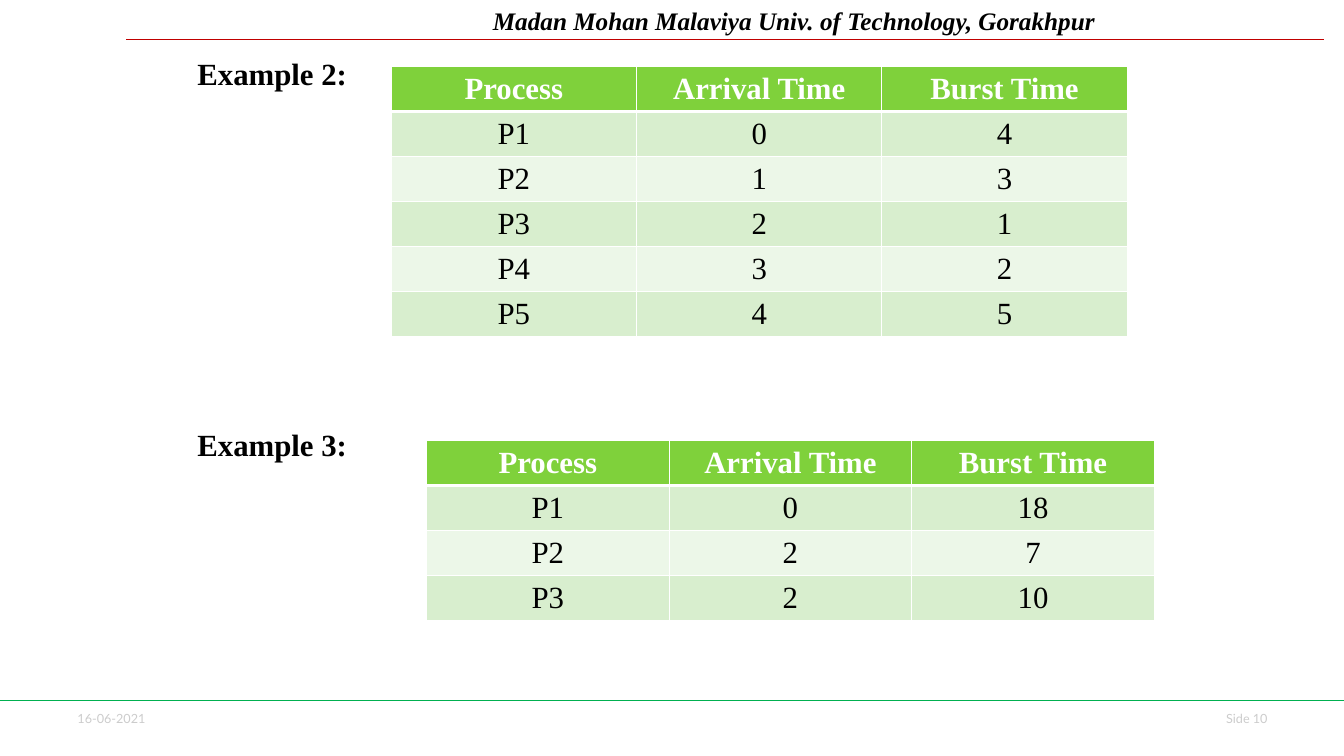
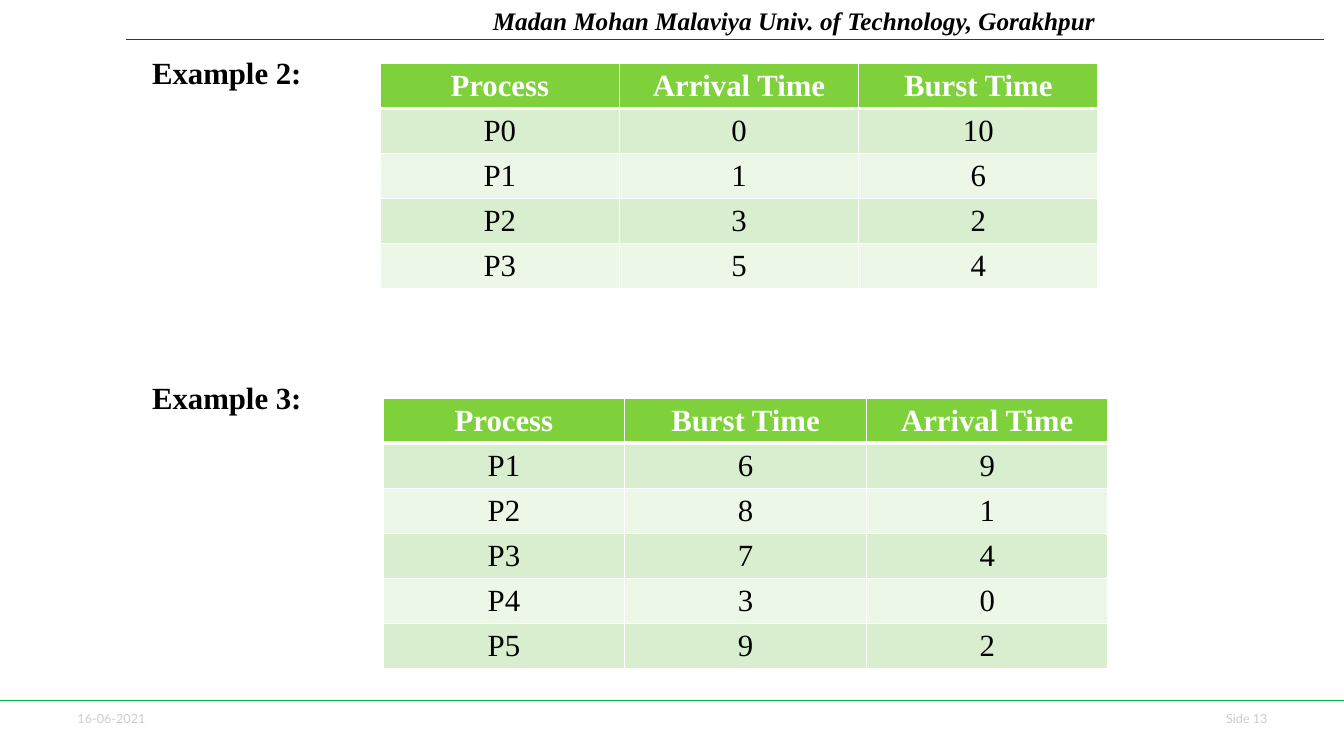
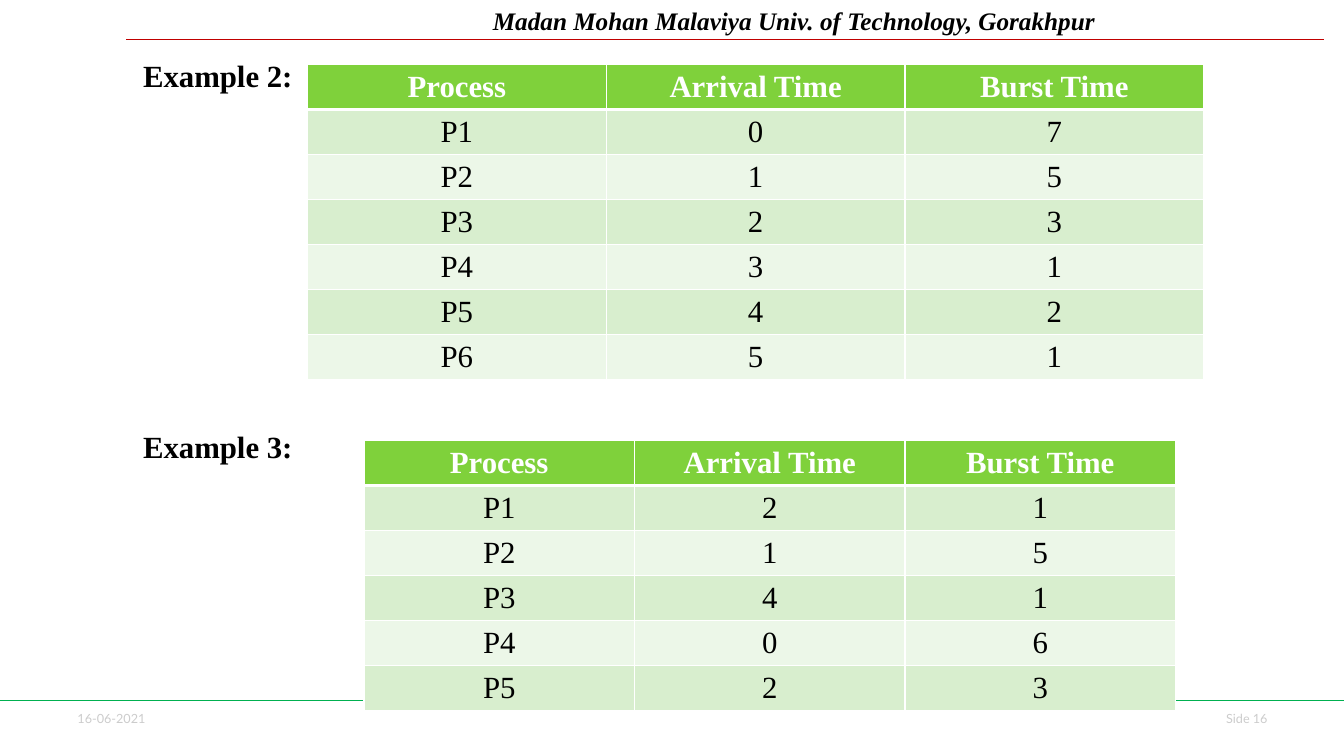
from lxml import etree
from pptx import Presentation
from pptx.dml.color import RGBColor
from pptx.enum.shapes import MSO_CONNECTOR
from pptx.enum.text import MSO_ANCHOR, PP_ALIGN
from pptx.oxml import parse_xml
from pptx.oxml.ns import nsdecls, qn
from pptx.util import Inches, Pt

# Shared style
SERIF, SANS = "Times New Roman", "Lato"
BLACK, WHITE, GREY = "000000", "FFFFFF", "CCCCCC"
RED, GREEN = "C00000", "00B050"
HEADER_FILL, BAND_FILLS = "7FD13B", ("D8EECE", "ECF7E8")
BODY_SIZE = 22
LINE_HEIGHT, LINE_PITCH = 25.3, 33  # points, for body text
ROW_HEIGHT = 0.44

ARRIVAL_FIRST = ("Process", "Arrival Time", "Burst Time")
BURST_FIRST = ("Process", "Burst Time", "Arrival Time")

# Page number, label box (left, top, width, height), body lines between the
# labels, and tables (left, top, width, header, rows)
SLIDES = [
    (10, (1.86, 0.49, 10.25, 6.26), 8, [
        (3.88, 0.66, 7.3, ARRIVAL_FIRST,
         [("P1", 0, 4), ("P2", 1, 3), ("P3", 2, 1), ("P4", 3, 2), ("P5", 4, 5)]),
        (4.23, 4.37, 7.22, ARRIVAL_FIRST,
         [("P1", 0, 18), ("P2", 2, 7), ("P3", 2, 10)]),
    ]),
    (13, (1.41, 0.48, 9.67, 6.39), 7, [
        (3.77, 0.63, 7.12, ARRIVAL_FIRST,
         [("P0", 0, 10), ("P1", 1, 6), ("P2", 3, 2), ("P3", 5, 4)]),
        (3.8, 3.95, 7.19, BURST_FIRST,
         [("P1", 6, 9), ("P2", 8, 1), ("P3", 7, 4), ("P4", 3, 0), ("P5", 9, 2)]),
    ]),
    (16, (1.32, 0.51, 10.59, 6.75), 8, [
        (3.05, 0.64, 8.89, ARRIVAL_FIRST,
         [("P1", 0, 7), ("P2", 1, 5), ("P3", 2, 3), ("P4", 3, 1), ("P5", 4, 2),
          ("P6", 5, 1)]),
        (3.61, 4.37, 8.05, ARRIVAL_FIRST,
         [("P1", 2, 1), ("P2", 1, 5), ("P3", 4, 1), ("P4", 0, 6), ("P5", 2, 3)]),
    ]),
]


def rgb(color):
    return RGBColor.from_string(color)


def style(p, size, color, name=SERIF, bold=False, italic=False, align=PP_ALIGN.LEFT):
    p.alignment = align
    font = p.font
    font.size, font.name, font.bold, font.italic = Pt(size), name, bold, italic
    font.color.rgb = rgb(color)


def add_text(s, box, lines, size, color, gap=0, **options):
    tf = s.shapes.add_textbox(*map(Inches, box)).text_frame
    tf.word_wrap = True
    for i, line in enumerate(lines):
        p = tf.add_paragraph() if i else tf.paragraphs[0]
        p.text = line
        if i:
            p.space_before = Pt(gap)
        style(p, size, color, **options)


def add_rule(s, left, right, y, color):
    sp = s.shapes.add_connector(MSO_CONNECTOR.STRAIGHT, *map(Inches, (left, y, right, y)))
    sp.line.color.rgb = rgb(color)
    sp.line.width = Pt(0.75)
    etree.SubElement(sp._element.spPr, qn("a:effectLst"))


def set_borders(cell, row):
    """White grid, with a heavier rule under the header row."""
    widths = {"L": 1, "R": 1, "T": 3 if row == 1 else 1, "B": 3 if row == 0 else 1}
    tc_pr = cell._tc.get_or_add_tcPr()
    for side, width in widths.items():
        tc_pr.append(parse_xml(
            f'<a:ln{side} {nsdecls("a")} w="{Pt(width)}"><a:solidFill>'
            f'<a:srgbClr val="{WHITE}"/></a:solidFill></a:ln{side}>'))


def add_process_table(s, left, top, width, header, rows):
    data = [header, *rows]
    frame = s.shapes.add_table(len(data), len(header), *map(
        Inches, (left, top, width, ROW_HEIGHT * len(data))))
    table = frame.table
    table.horz_banding = False
    for column in table.columns:
        column.width = Inches(width / len(header))
    for i, values in enumerate(data):
        table.rows[i].height = Inches(ROW_HEIGHT)
        for j, value in enumerate(values):
            cell = table.cell(i, j)
            set_borders(cell, i)
            cell.fill.solid()
            cell.fill.fore_color.rgb = rgb(BAND_FILLS[(i - 1) % 2] if i else HEADER_FILL)
            cell.margin_top = cell.margin_bottom = Inches(0.04)
            cell.vertical_anchor = MSO_ANCHOR.MIDDLE
            p = cell.text_frame.paragraphs[0]
            p.text = str(value)
            style(p, BODY_SIZE, BLACK if i else WHITE, bold=i == 0, align=PP_ALIGN.CENTER)


def add_page_frame(s, number):
    """Date, page number, title and the two rules."""
    add_text(s, (0.67, 7, 1.38, 0.25), ["16-06-2021"], 9, GREY, name=SANS)
    add_text(s, (11.56, 7, 1.11, 0.25), [f"Side {number}"], 9, GREY, name=SANS,
             align=PP_ALIGN.RIGHT)
    add_text(s, (4.79, 0, 8.54, 0.4),
             ["Madan Mohan Malaviya Univ. of Technology, Gorakhpur"], 18, BLACK,
             bold=True, italic=True)
    add_rule(s, 1.25, 13.13, 0.39, RED)
    add_rule(s, 0, 13.33, 6.95, GREEN)


def main():
    prs = Presentation()
    prs.slide_width, prs.slide_height = Inches(13.33), Inches(7.5)
    for number, label_box, lines_apart, tables in SLIDES:
        s = prs.slides.add_slide(prs.slide_layouts[6])
        add_page_frame(s, number)
        add_text(s, label_box, ["Example 2:", "Example 3:"], BODY_SIZE, BLACK,
                 gap=lines_apart * LINE_PITCH - LINE_HEIGHT, bold=True)
        for table in tables:
            add_process_table(s, *table)
    prs.save("out.pptx")


if __name__ == "__main__":
    main()
